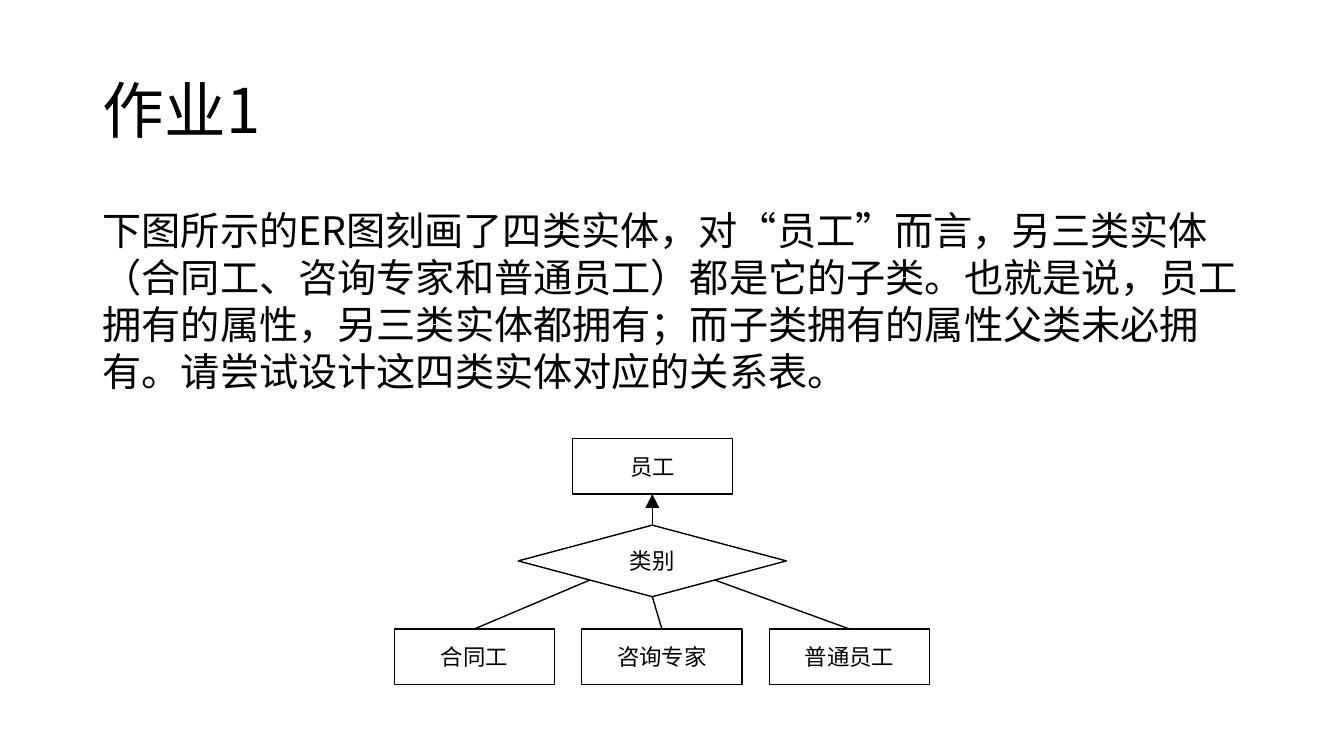
import pptx
import pptx.util
import pptx.dml.color
import pptx.enum.dml
import pptx.enum.lang
import pptx.enum.shapes
import pptx.enum.text
import pptx.oxml
import pptx.oxml.ns

Inches, Pt = pptx.util.Inches, pptx.util.Pt
ALIGN = pptx.enum.text.PP_ALIGN
ANCHOR = pptx.enum.text.MSO_ANCHOR
SHAPE = pptx.enum.shapes.MSO_SHAPE

# Content
TITLE = "作业1"
QUESTION = (
    "下图所示的ER图刻画了四类实体，对“员工”而言，另三类实体"
    "（合同工、咨询专家和普通员工）都是它的子类。也就是说，员工"
    "拥有的属性，另三类实体都拥有；而子类拥有的属性父类未必拥有。"
    "请尝试设计这四类实体对应的关系表。"
)
PARENT, RELATION = "员工", "类别"
SUBCLASSES = ["合同工", "咨询专家", "普通员工"]

FONT = "Noto Sans CJK SC"
COLORS = {"ink": "000000", "paper": "FFFFFF"}

# Diagram geometry in inches
AXIS = 6.47
ENTITY_W, ENTITY_H = 1.59, 0.55
PARENT_TOP, SUB_TOP = 4.35, 6.24
SUB_LEFT, SUB_STEP = 3.91, 1.86
DIAMOND_W, DIAMOND_H, DIAMOND_TOP = 2.66, 0.71, 5.21
EXIT_OFFSETS = [-0.62, 0, 0.62]


def color(name):
    return pptx.dml.color.RGBColor.from_string(COLORS[name])


def write(shape, text, size, align, anchor, spacing=1.0):
    frame = shape.text_frame
    frame.word_wrap = True
    frame.vertical_anchor = anchor
    para = frame.paragraphs[0]
    para.alignment = align
    para.line_spacing = spacing
    para.space_before = Pt(0)
    # Keep punctuation inside the right margin
    para._p.get_or_add_pPr().set("hangingPunct", "0")
    span = para.add_run()
    span.text = text
    span.font.size = Pt(size)
    span.font.name = FONT
    span.font.color.rgb = color("ink")
    span.font.language_id = pptx.enum.lang.MSO_LANGUAGE_ID.SIMPLIFIED_CHINESE
    east_asian = pptx.oxml.parse_xml(
        f'<a:ea {pptx.oxml.ns.nsdecls("a")} typeface="{FONT}"/>')
    span.font._element.find(pptx.oxml.ns.qn("a:latin")).addnext(east_asian)


def add_node(kind, text, left, top, width, height):
    node = page.shapes.add_shape(
        kind, Inches(left), Inches(top), Inches(width), Inches(height))
    node.shadow.inherit = False
    node.fill.solid()
    node.fill.fore_color.rgb = color("paper")
    node.line.color.rgb = color("ink")
    node.line.width = Pt(1)
    write(node, text, 16, ALIGN.CENTER, ANCHOR.MIDDLE)


def add_link(x1, y1, x2, y2, arrow=False):
    link = page.shapes.add_connector(
        pptx.enum.shapes.MSO_CONNECTOR.STRAIGHT,
        Inches(x1), Inches(y1), Inches(x2), Inches(y2))
    link.line.color.rgb = color("ink")
    link.line.width = Pt(1)
    namespace = pptx.oxml.ns.nsdecls("a")
    if arrow:
        link.line._get_or_add_ln().append(pptx.oxml.parse_xml(
            f'<a:tailEnd {namespace} type="triangle" w="lg" len="lg"/>'))
    link._element.spPr.append(pptx.oxml.parse_xml(f"<a:effectLst {namespace}/>"))


deck = pptx.Presentation()
deck.slide_width, deck.slide_height = Inches(13.33), Inches(7.5)
page = deck.slides.add_slide(deck.slide_layouts[5])

# Title and question
title = page.shapes.title
title.left, title.top = Inches(0.92), Inches(0.4)
title.width, title.height = Inches(11.5), Inches(1.45)
write(title, TITLE, 44, ALIGN.LEFT, ANCHOR.MIDDLE, 0.9)
question = page.shapes.add_textbox(
    Inches(0.92), Inches(2), Inches(11.5), Inches(4.76))
write(question, QUESTION, 28, ALIGN.LEFT, ANCHOR.TOP)

# Parent entity and relation
add_node(SHAPE.RECTANGLE, PARENT, AXIS - ENTITY_W / 2, PARENT_TOP, ENTITY_W, ENTITY_H)
add_node(SHAPE.DIAMOND, RELATION, AXIS - DIAMOND_W / 2, DIAMOND_TOP, DIAMOND_W, DIAMOND_H)
add_link(AXIS, DIAMOND_TOP, AXIS, PARENT_TOP + ENTITY_H, arrow=True)

# Subclasses, each linked to the lower edge of the diamond
for index, (name, offset) in enumerate(zip(SUBCLASSES, EXIT_OFFSETS)):
    left = SUB_LEFT + index * SUB_STEP
    add_node(SHAPE.RECTANGLE, name, left, SUB_TOP, ENTITY_W, ENTITY_H)
    drop = DIAMOND_H / 2 * (1 - abs(offset) / (DIAMOND_W / 2))
    add_link(AXIS + offset, DIAMOND_TOP + DIAMOND_H / 2 + drop,
             left + ENTITY_W / 2, SUB_TOP)

deck.save("out.pptx")
